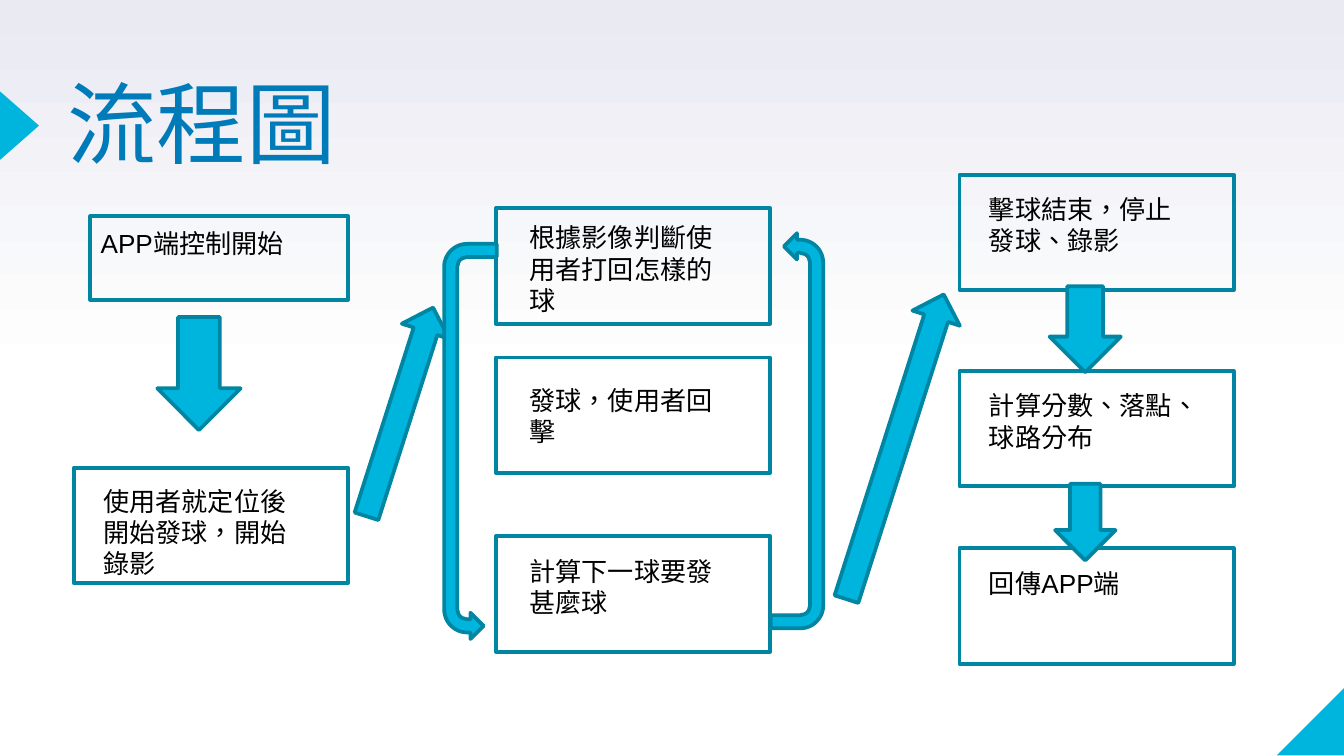
from copy import deepcopy

from pptx import Presentation
from pptx.dml.color import RGBColor
from pptx.enum.shapes import MSO_SHAPE as SHAPE
from pptx.enum.text import MSO_ANCHOR, MSO_AUTO_SIZE
from pptx.oxml.ns import qn
from pptx.util import Inches, Pt

CYAN = RGBColor(0x00, 0xB5, 0xDD)
TEAL = RGBColor(0x00, 0x86, 0xA3)
BLUE = RGBColor(0x00, 0x7B, 0xB9)
BLACK = RGBColor(0x00, 0x00, 0x00)
WHITE = RGBColor(0xFF, 0xFF, 0xFF)
LAVENDER = RGBColor(0xE9, 0xEA, 0xF2)

BOX_SIZE = (2.04, 0.86)
LABEL_WIDTH = 1.75

STEPS = [
    ((0.55, 3.48, *BOX_SIZE), (0.67, 3.56, LABEL_WIDTH, 0.81), "使用者就定位後開始發球，開始錄影"),
    ((0.67, 1.61, 1.92, 0.62), (0.65, 1.64, 1.58, 0.34), "APP端控制開始"),
    ((3.69, 1.55, *BOX_SIZE), (3.84, 1.6, LABEL_WIDTH, 0.81), "根據影像判斷使用者打回怎樣的球"),
    ((3.69, 3.99, *BOX_SIZE), (3.84, 4.08, LABEL_WIDTH, 0.57), "計算下一球要發甚麼球"),
    ((3.69, 2.66, *BOX_SIZE), (3.84, 2.81, LABEL_WIDTH, 0.57), "發球，使用者回擊"),
    ((7.14, 1.3, *BOX_SIZE), (7.26, 1.39, LABEL_WIDTH, 0.57), "擊球結束，停止發球、錄影"),
    ((7.14, 2.76, *BOX_SIZE), (7.26, 2.85, LABEL_WIDTH, 0.57), "計算分數、落點、球路分布"),
    ((7.14, 4.08, *BOX_SIZE), (7.26, 4.17, LABEL_WIDTH, 0.34), "回傳APP端"),
]

ARROWS = [
    (SHAPE.DOWN_ARROW, (1.17, 2.36, 0.62, 0.84), 0, None),
    (SHAPE.RIGHT_ARROW, (2.16, 2.88, 1.63, 0.37), 287.7, None),
    (SHAPE.U_TURN_ARROW, (4.46, 3.01, 2.94, 0.39), 90, "flipH"),
    (SHAPE.U_TURN_ARROW, (2.03, 3.09, 2.94, 0.39), 90, "flipV"),
    (SHAPE.RIGHT_ARROW, (5.47, 3.14, 2.38, 0.37), 287.7, None),
    (SHAPE.DOWN_ARROW, (7.81, 2.13, 0.53, 0.64), 0, None),
    (SHAPE.DOWN_ARROW, (7.85, 3.6, 0.45, 0.57), 0, None),
]


def set_background(slide):
    fill = slide.background.fill
    fill.gradient()
    fill.gradient_angle = 90
    first, last = fill.gradient_stops
    first.position, last.position = 0, 1
    first.color.rgb, last.color.rgb = WHITE, LAVENDER
    stops = slide.background._cSld.find(".//" + qn("a:gsLst"))
    middle = deepcopy(stops[0])
    middle.set("pos", "50000")
    stops.insert(1, middle)


def add_shape(slide, kind, place, fill=None, line=None, rotation=0, flip=None):
    sp = slide.shapes.add_shape(kind, *map(Inches, place))
    sp.shadow.inherit = False
    sp.rotation = rotation
    if flip:
        sp.element.spPr.find(qn("a:xfrm")).set(flip, "1")
    if fill is None:
        sp.fill.background()
    else:
        sp.fill.solid()
        sp.fill.fore_color.rgb = fill
    if line is None:
        sp.line.fill.background()
    else:
        sp.line.color.rgb = line
        sp.line.width = Pt(2)
    return sp


def add_text(slide, place, text, size, font, color):
    tf = slide.shapes.add_textbox(*map(Inches, place)).text_frame
    tf.word_wrap = True
    tf.vertical_anchor = MSO_ANCHOR.TOP
    tf.text = text
    r = tf.paragraphs[0].runs[0]
    r.font.size = Pt(size)
    r.font.name = font
    r.font.color.rgb = color
    r._r.get_or_add_rPr().set("lang", "zh-TW")
    return tf


def add_title(slide, text):
    tf = add_text(slide, (0.5, 0.66, 6.17, 1.18), text, 48, "Manrope", BLUE)
    tf.margin_left = tf.margin_top = tf.margin_right = tf.margin_bottom = 0
    tf.paragraphs[0].line_spacing = 0.8


def add_step(slide, box, label, text):
    add_shape(slide, SHAPE.RECTANGLE, box, line=TEAL)
    tf = add_text(slide, label, text, 14, "Arial", BLACK)
    tf.auto_size = MSO_AUTO_SIZE.SHAPE_TO_FIT_TEXT


def main():
    prs = Presentation()
    prs.slide_width = Inches(10)
    prs.slide_height = prs.slide_width * 9 // 16
    slide = prs.slides.add_slide(prs.slide_layouts[6])
    set_background(slide)
    add_shape(slide, SHAPE.RIGHT_TRIANGLE, (9.5, 5.11, 0.51, 0.51), CYAN, flip="flipH")
    add_shape(slide, SHAPE.ISOSCELES_TRIANGLE, (-0.11, 0.79, 0.51, 0.29), CYAN, rotation=90)
    add_title(slide, "流程圖")
    for box, label, text in STEPS:
        add_step(slide, box, label, text)
    for kind, place, rotation, flip in ARROWS:
        add_shape(slide, kind, place, CYAN, TEAL, rotation, flip)
    prs.save("out.pptx")


if __name__ == "__main__":
    main()
